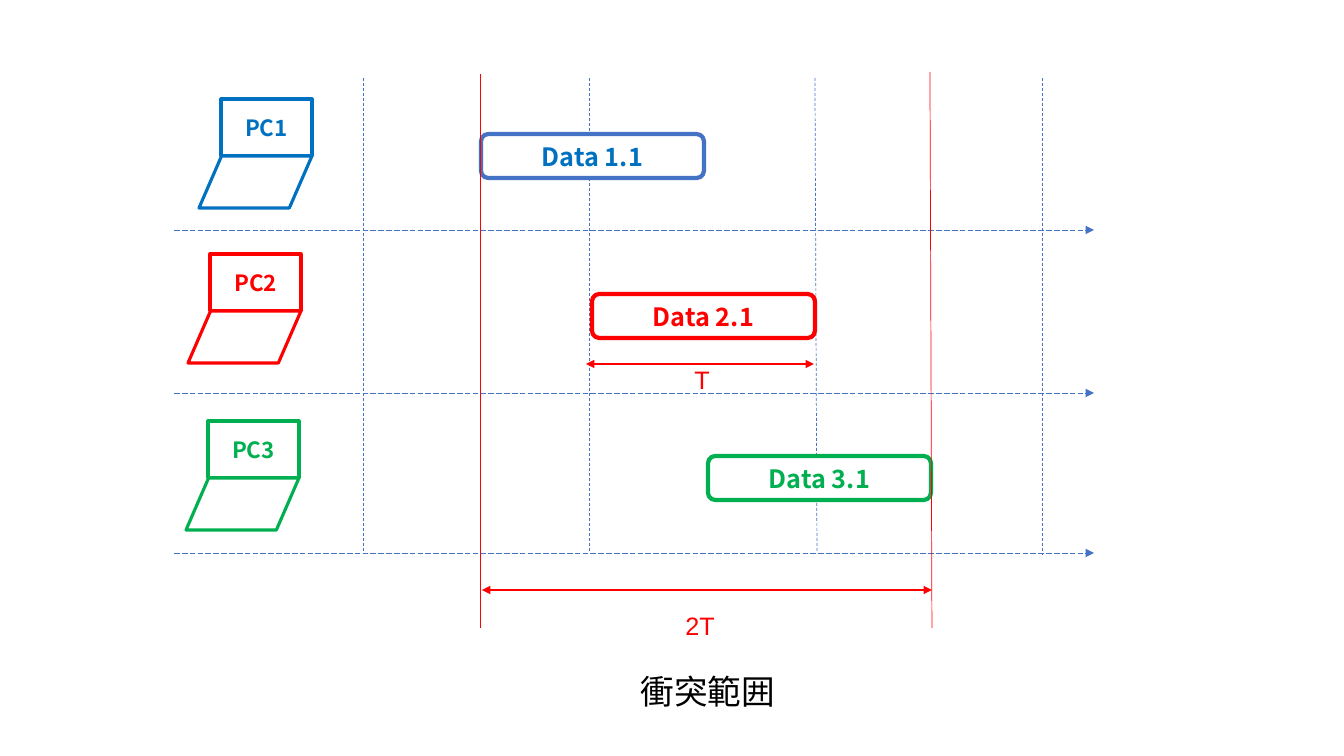
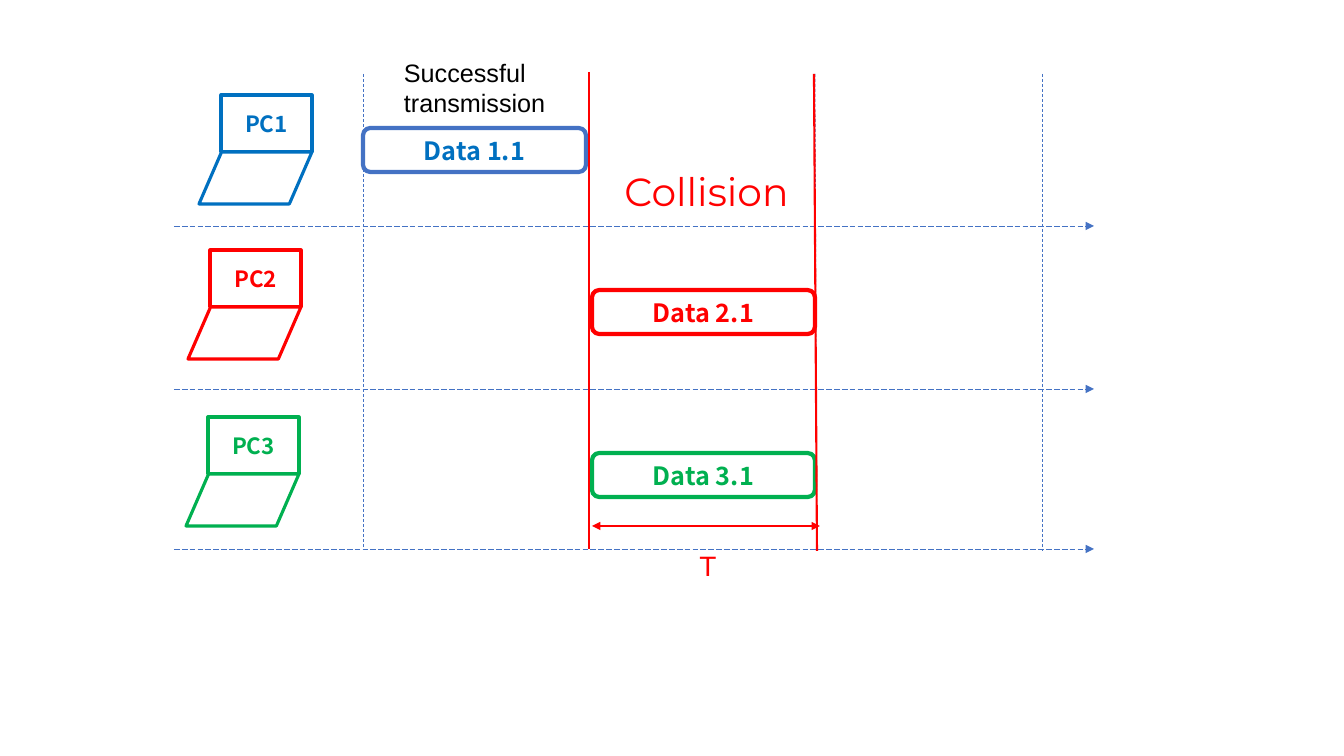
from dataclasses import dataclass, replace
from typing import Optional

from lxml import etree
from pptx import Presentation
from pptx.dml.color import RGBColor
from pptx.enum.dml import MSO_LINE_DASH_STYLE as Dash
from pptx.enum.shapes import MSO_CONNECTOR as Link, MSO_SHAPE as Preset
from pptx.enum.text import MSO_ANCHOR as Anchor, MSO_AUTO_SIZE as Fit, PP_ALIGN as Align
from pptx.oxml.ns import qn
from pptx.shapes.autoshape import Shape
from pptx.slide import Slide
from pptx.text.text import TextFrame
from pptx.util import Emu, Pt

PIXELS_PER_INCH = 100.8
PAGE_SIZE = (1344, 756)

BLUE = RGBColor(0x00, 0x70, 0xC0)
STEEL = RGBColor(0x44, 0x72, 0xC4)
RED = RGBColor(0xFF, 0x00, 0x00)
GREEN = RGBColor(0x00, 0xB0, 0x50)
WHITE = RGBColor(0xFF, 0xFF, 0xFF)
BLACK = RGBColor(0x00, 0x00, 0x00)

CJK_FONT = "Noto Sans CJK JP"
LABEL_FONT = "Arial"
DISPLAY_FONT = "Montserrat"

SCREEN_SIZE = (91, 57)
BASE_SIZE = (113, 52)
BASE_SHIFT = -22
FRAME_SIZE = (223, 44)


@dataclass(frozen=True)
class TextStyle:
    size: int
    font: str
    color: RGBColor
    bold: bool = False
    align: Align = Align.CENTER


@dataclass(frozen=True)
class Laptop:
    name: str
    left: int
    top: int
    color: RGBColor


@dataclass(frozen=True)
class Frame:
    name: str
    left: int
    top: int
    border: RGBColor
    color: RGBColor


@dataclass(frozen=True)
class Stroke:
    start: tuple[int, int]
    end: tuple[int, int]
    color: RGBColor = RED
    width: float = 1.5
    dash: Optional[Dash] = None
    arrows: tuple[str, ...] = ()


@dataclass(frozen=True)
class Label:
    lines: tuple[str, ...]
    box: tuple[int, int, int, int]
    style: TextStyle


@dataclass(frozen=True)
class Diagram:
    shift: int
    frames: tuple[Frame, ...]
    strokes: tuple[Stroke, ...]
    labels: tuple[Label, ...]


def px(length: int) -> Emu:
    return Emu(round(length * 914400 / PIXELS_PER_INCH))


def write(frame: TextFrame, lines: tuple[str, ...], style: TextStyle) -> None:
    frame.word_wrap = True
    for index, line in enumerate(lines):
        para = frame.paragraphs[0] if index == 0 else frame.add_paragraph()
        para.alignment = style.align
        span = para.add_run()
        span.text = line
        span.font.name = style.font
        span.font.size = Pt(style.size)
        span.font.bold = style.bold
        span.font.color.rgb = style.color
        east_asian = etree.SubElement(span.font._element, qn("a:ea"))
        east_asian.set("typeface", style.font)


def draw_box(page: Slide, preset: Preset, box: tuple[int, int, int, int],
             border: RGBColor, width: float, fill: Optional[RGBColor] = None) -> Shape:
    shape = page.shapes.add_shape(preset, *map(px, box))
    shape.shadow.inherit = False
    if fill is None:
        shape.fill.background()
    else:
        shape.fill.solid()
        shape.fill.fore_color.rgb = fill
    shape.line.color.rgb = border
    shape.line.width = Pt(width)
    shape.text_frame.vertical_anchor = Anchor.MIDDLE
    return shape


def draw_laptop(page: Slide, laptop: Laptop, shift: int) -> None:
    top = laptop.top + shift
    screen = draw_box(page, Preset.RECTANGLE, (laptop.left, top, *SCREEN_SIZE),
                      laptop.color, 2.25)
    write(screen.text_frame, (laptop.name,),
          TextStyle(16, CJK_FONT, laptop.color, bold=True))
    base = (laptop.left + BASE_SHIFT, top + SCREEN_SIZE[1], *BASE_SIZE)
    draw_box(page, Preset.FLOWCHART_DATA, base, laptop.color, 2.25)


def draw_frame(page: Slide, frame: Frame) -> None:
    shape = draw_box(page, Preset.ROUNDED_RECTANGLE, (frame.left, frame.top, *FRAME_SIZE),
                     frame.border, 3, WHITE)
    write(shape.text_frame, (frame.name,),
          TextStyle(18, CJK_FONT, frame.color, bold=True))


def draw_stroke(page: Slide, stroke: Stroke, shift: int = 0) -> None:
    (left, top), (right, bottom) = stroke.start, stroke.end
    ends = (left, top + shift, right, bottom + shift)
    connector = page.shapes.add_connector(Link.STRAIGHT, *map(px, ends))
    connector.line.color.rgb = stroke.color
    connector.line.width = Pt(stroke.width)
    if stroke.dash is not None:
        connector.line.dash_style = stroke.dash
    properties = connector._element.spPr
    outline = properties.find(qn("a:ln"))
    for arrow in stroke.arrows:
        etree.SubElement(outline, qn(f"a:{arrow}")).set("type", "triangle")
    etree.SubElement(properties, qn("a:effectLst"))


def draw_label(page: Slide, label: Label) -> None:
    box = page.shapes.add_textbox(*map(px, label.box))
    write(box.text_frame, label.lines, label.style)
    box.text_frame.auto_size = Fit.SHAPE_TO_FIT_TEXT


def guide(left: int, right: int, bottom: int) -> Stroke:
    return Stroke((left, 78), (right, bottom), STEEL, 0.5, Dash.DASH)


def time_axis(height: int) -> Stroke:
    return Stroke((174, height), (1094, height), STEEL, 0.5, Dash.LONG_DASH, ("tailEnd",))


def span_arrow(left: int, right: int, height: int) -> Stroke:
    return Stroke((left, height), (right, height), arrows=("headEnd", "tailEnd"))


def draw_diagram(page: Slide, diagram: Diagram) -> None:
    for laptop in LAPTOPS:
        draw_laptop(page, laptop, diagram.shift)
    for stroke in GRID:
        draw_stroke(page, stroke, diagram.shift)
    for frame in diagram.frames:
        draw_frame(page, frame)
    for stroke in diagram.strokes:
        draw_stroke(page, stroke)
    for label in diagram.labels:
        draw_label(page, label)


LAPTOPS = (
    Laptop("PC3", 208, 421, GREEN),
    Laptop("PC2", 210, 254, RED),
    Laptop("PC1", 221, 99, BLUE),
)
GRID = (
    guide(363, 363, 553),
    *(time_axis(height) for height in (230, 393, 553)),
    guide(589, 589, 553),
    guide(815, 817, 553),
    guide(1042, 1042, 555),
)
DATA_1 = Frame("Data 1.1", 481, 134, STEEL, BLUE)
DATA_2 = Frame("Data 2.1", 592, 294, RED, RED)
DATA_3 = Frame("Data 3.1", 708, 456, GREEN, GREEN)
MEASURE = TextStyle(18, LABEL_FONT, RED)

COLLISION_RANGE = Diagram(
    shift=0,
    frames=(DATA_2, DATA_1, DATA_3),
    strokes=(
        Stroke((480, 74), (480, 628), width=0.5),
        Stroke((930, 72), (932, 628), width=0.5),
        span_arrow(482, 932, 590),
        span_arrow(586, 814, 364),
    ),
    labels=(
        Label(("T",), (678, 359, 48, 43), MEASURE),
        Label(("2T",), (671, 605, 58, 43), MEASURE),
        Label(("衝突範囲",), (568, 666, 280, 50), TextStyle(24, CJK_FONT, BLACK)),
    ),
)
COLLISION = Diagram(
    shift=-4,
    frames=(
        replace(DATA_2, top=290),
        replace(DATA_1, left=363, top=128),
        replace(DATA_3, left=592, top=453),
    ),
    strokes=(
        span_arrow(592, 820, 526),
        Stroke((589, 72), (589, 549)),
        Stroke((814, 74), (817, 551)),
    ),
    labels=(
        Label(("T",), (684, 544, 48, 43), replace(MEASURE, size=20)),
        Label(("Collision",), (603, 162, 207, 57), TextStyle(28, DISPLAY_FONT, RED)),
        Label(("Successful", "transmission"), (394, 52, 233, 99),
              TextStyle(18, LABEL_FONT, BLACK, align=Align.LEFT)),
    ),
)

deck = Presentation()
deck.slide_width, deck.slide_height = map(px, PAGE_SIZE)
blank_layout = deck.slide_layouts[6]
for diagram in (COLLISION_RANGE, COLLISION):
    draw_diagram(deck.slides.add_slide(blank_layout), diagram)
deck.save("out.pptx")
